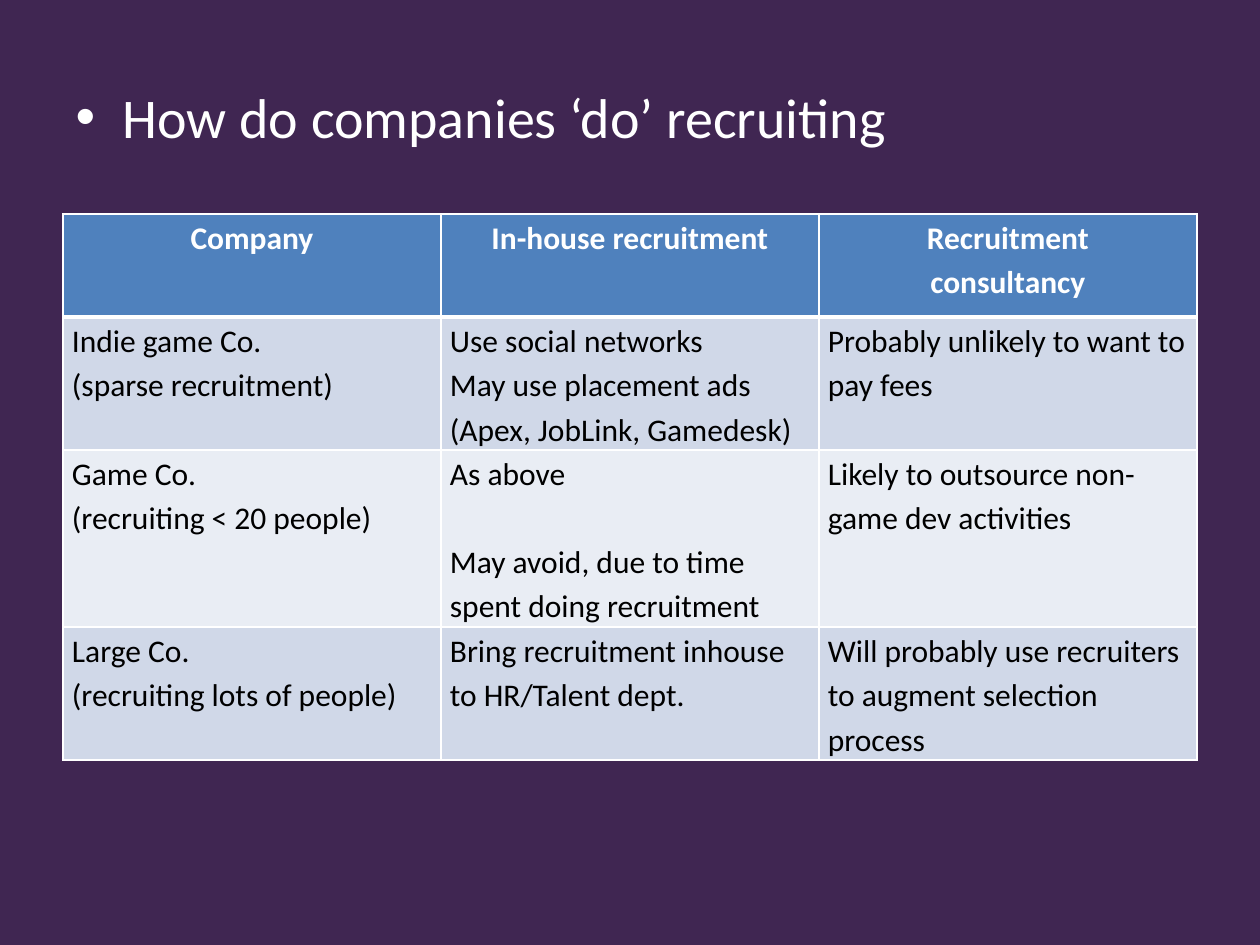
from lxml import etree
from pptx import Presentation
from pptx.dml.color import RGBColor
from pptx.enum.text import MSO_ANCHOR, PP_ALIGN
from pptx.oxml.ns import qn
from pptx.util import Pt

EMU_PER_PX = 914400 // 126

WHITE = RGBColor(0xFF, 0xFF, 0xFF)
BLACK = RGBColor(0x00, 0x00, 0x00)
PURPLE = RGBColor(0x40, 0x26, 0x52)
HEADER_BLUE = RGBColor(0x4F, 0x81, 0xBD)
BAND_DARK = RGBColor(0xD0, 0xD8, 0xE8)
BAND_LIGHT = RGBColor(0xE9, 0xED, 0xF4)

FONT = "Calibri"
HEADING = "How do companies ‘do’ recruiting"
COLUMN_WIDTH = 378
ROW_HEIGHTS = [103, 133, 177, 133]
# Each cell is a list of paragraphs
ROWS = [
    [["Company"], ["In-house recruitment"], ["Recruitment", "consultancy"]],
    [["Indie game Co.", "(sparse recruitment)"],
     ["Use social networks", "May use placement ads (Apex, JobLink, Gamedesk)"],
     ["Probably unlikely to want to pay fees"]],
    [["Game Co.", "(recruiting < 20 people)"],
     ["As above", "May avoid, due to time spent doing recruitment"],
     ["Likely to outsource non-game dev activities"]],
    [["Large Co.", "(recruiting lots of people)"],
     ["Bring recruitment inhouse to HR/Talent dept."],
     ["Will probably use recruiters to augment selection process"]],
]
GAP_CELL = (2, 1)  # its second paragraph stands one line lower


def px(length):
    return length * EMU_PER_PX


def format_font(font, size, color, bold=False):
    font.name = FONT
    font.size = Pt(size)
    font.color.rgb = color
    font.bold = bold


def add_heading(slide):
    body = slide.placeholders[1]
    body.left, body.top, body.width, body.height = px(63), px(76), px(1134), px(824)
    body.text_frame.text = HEADING
    body.text_frame.vertical_anchor = MSO_ANCHOR.TOP
    paragraph = body.text_frame.paragraphs[0]
    paragraph.space_before = Pt(0)
    properties = paragraph._p.get_or_add_pPr()
    properties.set("marL", str(px(47)))
    properties.set("indent", str(-px(47)))
    etree.SubElement(properties, qn("a:buFont"), typeface="Arial")
    etree.SubElement(properties, qn("a:buChar"), char="•")
    format_font(paragraph.runs[0].font, 32, WHITE)


def add_borders(cell, bottom_width):
    properties = cell._tc.get_or_add_tcPr()
    for side, width in (("L", 1), ("R", 1), ("T", 1), ("B", bottom_width)):
        line = etree.SubElement(properties, qn(f"a:ln{side}"), w=str(Pt(width)))
        fill = etree.SubElement(line, qn("a:solidFill"))
        etree.SubElement(fill, qn("a:srgbClr"), val=str(WHITE))


def fill_cell(cell, lines, fill_color, is_header):
    # Borders come before the fill in the cell properties
    add_borders(cell, 3 if is_header else 1)
    cell.fill.solid()
    cell.fill.fore_color.rgb = fill_color
    cell.margin_left = cell.margin_right = px(9)
    cell.margin_top = cell.margin_bottom = 0
    cell.text_frame.text = "\n".join(lines)
    for paragraph in cell.text_frame.paragraphs:
        paragraph.alignment = PP_ALIGN.CENTER if is_header else PP_ALIGN.LEFT
        paragraph.line_spacing = 1.15
        format_font(paragraph.runs[0].font, 18,
                    WHITE if is_header else BLACK, is_header)


def add_recruitment_table(slide):
    frame = slide.shapes.add_table(
        len(ROWS), len(ROWS[0]), px(63), px(214),
        px(COLUMN_WIDTH * len(ROWS[0])), px(sum(ROW_HEIGHTS)))
    table = frame.table
    for column in table.columns:
        column.width = px(COLUMN_WIDTH)
    for row_index, (height, row) in enumerate(zip(ROW_HEIGHTS, ROWS)):
        table.rows[row_index].height = px(height)
        is_header = row_index == 0
        band = BAND_DARK if row_index % 2 else BAND_LIGHT
        color = HEADER_BLUE if is_header else band
        for column_index, lines in enumerate(row):
            fill_cell(table.cell(row_index, column_index), lines, color, is_header)
    table.cell(*GAP_CELL).text_frame.paragraphs[1].space_before = Pt(25)


def main():
    presentation = Presentation()
    presentation.slide_width = px(1260)
    presentation.slide_height = px(945)

    # Content layout: the heading is a bullet, so the title is not needed
    slide = presentation.slides.add_slide(presentation.slide_layouts[1])
    title = slide.shapes.title
    title.element.getparent().remove(title.element)
    slide.background.fill.solid()
    slide.background.fill.fore_color.rgb = PURPLE

    add_heading(slide)
    add_recruitment_table(slide)
    presentation.save("out.pptx")


if __name__ == "__main__":
    main()
